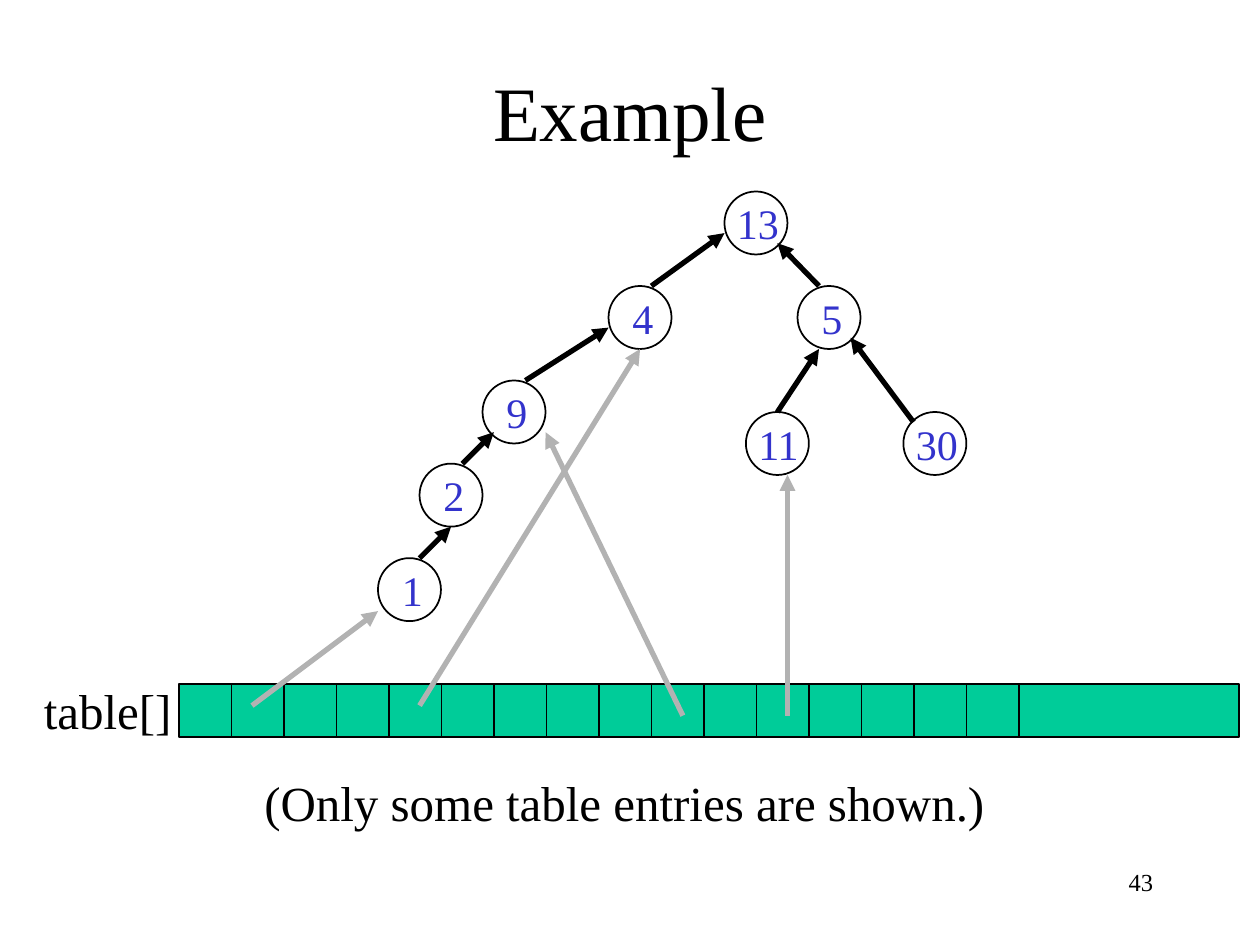
from dataclasses import dataclass

from lxml.etree import SubElement
from pptx import Presentation
from pptx.dml.color import RGBColor
from pptx.enum.shapes import MSO_CONNECTOR, MSO_SHAPE
from pptx.enum.text import MSO_ANCHOR, PP_ALIGN
from pptx.oxml.ns import qn
from pptx.util import Inches, Pt


@dataclass(frozen=True)
class Theme:
    font: str = "Times New Roman"
    ink: RGBColor = RGBColor(0x00, 0x00, 0x00)
    key: RGBColor = RGBColor(0x33, 0x33, 0xCC)
    cell: RGBColor = RGBColor(0x00, 0xCC, 0x99)
    pointer: RGBColor = RGBColor(0xB2, 0xB2, 0xB2)
    title_size: int = 44
    text_size: int = 28
    key_size: int = 24
    number_size: int = 14
    outline: int = 1
    arrow: int = 3


THEME = Theme()

NODE_SIZE = 0.5
CELL_SIZE = 0.42
CELL_STEP = 5 / 12
CELL_COUNT = 16
TABLE_LEFT, TABLE_TOP = 1.42, 5.43
LAST_CELL_WIDTH = 1.75

# Key and top left corner of each tree node
NODES = [
    ("13", 5.75, 1.52),
    ("4", 4.83, 2.27),
    ("5", 6.33, 2.27),
    ("9", 3.83, 3.02),
    ("11", 5.92, 3.27),
    ("30", 7.17, 3.27),
    ("2", 3.33, 3.68),
    ("1", 3.0, 4.43),
]

# Arrows from child to parent
PARENT_LINKS = [
    ((5.17, 2.27), (5.75, 1.85)),
    ((6.5, 2.27), (6.17, 1.93)),
    ((4.17, 3.02), (4.83, 2.6)),
    ((6.17, 3.27), (6.5, 2.77)),
    ((7.25, 3.35), (6.75, 2.68)),
    ((3.67, 3.68), (3.92, 3.43)),
    ((3.33, 4.43), (3.58, 4.18)),
]

# Arrows from table cell to tree node
TABLE_POINTERS = [
    ((2.0, 5.6), (3.0, 4.85)),
    ((5.42, 5.68), (4.33, 3.43)),
    ((6.25, 5.68), (6.25, 3.77)),
    ((3.33, 5.6), (5.08, 2.77)),
]


def write(frame, text, size, color=THEME.ink, align=PP_ALIGN.LEFT):
    frame.word_wrap = True
    paragraph = frame.paragraphs[0]
    paragraph.alignment = align
    run = paragraph.add_run()
    run.text = text
    run.font.name = THEME.font
    run.font.size = Pt(size)
    run.font.color.rgb = color


def add_title(slide, text):
    title = slide.shapes.title
    title.left, title.top = Inches(0.75), Inches(0.25)
    title.width, title.height = Inches(8.5), Inches(1.25)
    title.text_frame.vertical_anchor = MSO_ANCHOR.MIDDLE
    write(title.text_frame, text, THEME.title_size, align=PP_ALIGN.CENTER)


def add_label(slide, text, left, top, width, height, size, **style):
    box = slide.shapes.add_textbox(
        Inches(left), Inches(top), Inches(width), Inches(height))
    write(box.text_frame, text, size, **style)


def add_outlined(slide, kind, left, top, width, height, fill=None):
    shape = slide.shapes.add_shape(
        kind, Inches(left), Inches(top), Inches(width), Inches(height))
    shape.shadow.inherit = False
    if fill is None:
        shape.fill.background()
    else:
        shape.fill.solid()
        shape.fill.fore_color.rgb = fill
    shape.line.color.rgb = THEME.ink
    shape.line.width = Pt(THEME.outline)


def add_node(slide, key, left, top):
    add_outlined(slide, MSO_SHAPE.OVAL, left, top, NODE_SIZE, NODE_SIZE)
    indent = 0.09 if len(key) == 1 else 0
    add_label(slide, key, left + indent, top, 0.58, NODE_SIZE,
              THEME.key_size, color=THEME.key)


def add_arrow(slide, start, end, color):
    arrow = slide.shapes.add_connector(
        MSO_CONNECTOR.STRAIGHT, *map(Inches, (*start, *end)))
    arrow.line.color.rgb = color
    arrow.line.width = Pt(THEME.arrow)
    SubElement(arrow.line._get_or_add_ln(), qn("a:tailEnd"), type="triangle")
    SubElement(arrow._element.spPr, qn("a:effectLst"))


def add_hash_table(slide):
    for index in range(CELL_COUNT + 1):
        width = CELL_SIZE if index < CELL_COUNT else LAST_CELL_WIDTH
        add_outlined(slide, MSO_SHAPE.RECTANGLE, TABLE_LEFT + index * CELL_STEP,
                     TABLE_TOP, width, CELL_SIZE, THEME.cell)
    add_label(slide, "table[]", 0.25, 5.35, 1.25, 0.57, THEME.text_size)


def main():
    deck = Presentation()
    deck.slide_width, deck.slide_height = Inches(10), Inches(7.5)
    slide = deck.slides.add_slide(deck.slide_layouts[5])
    add_title(slide, "Example")

    # Tree
    for node in NODES:
        add_node(slide, *node)
    for child, parent in PARENT_LINKS:
        add_arrow(slide, child, parent, THEME.ink)

    # Table and its pointers into the tree
    add_hash_table(slide)
    for cell, node in TABLE_POINTERS:
        add_arrow(slide, cell, node, THEME.pointer)

    # Remark and page number
    add_label(slide, "(Only some table entries are shown.)",
              2, 6.08, 7, 0.57, THEME.text_size)
    add_label(slide, "43", 7.17, 6.83, 2.08, 0.5,
              THEME.number_size, align=PP_ALIGN.RIGHT)

    deck.save("out.pptx")


if __name__ == "__main__":
    main()
